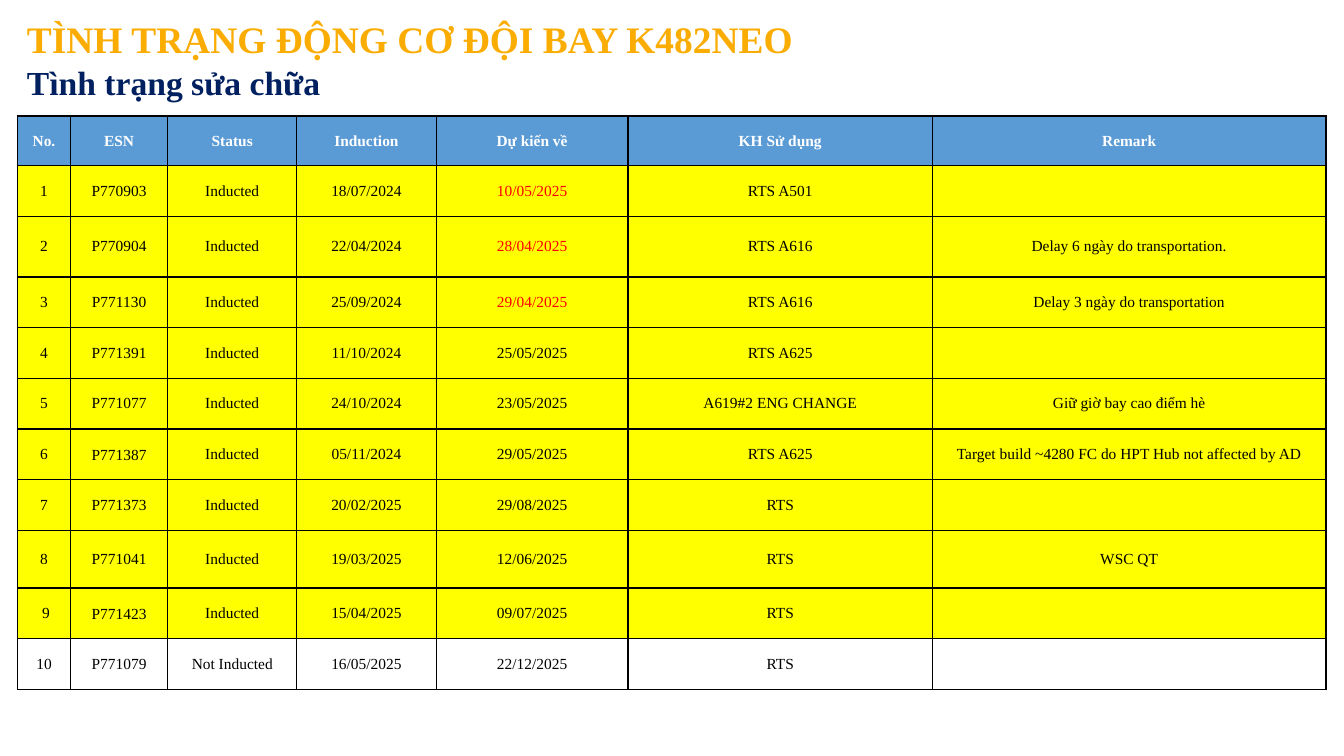
from lxml.etree import SubElement
from pptx import Presentation
from pptx.dml.color import RGBColor
from pptx.enum.text import MSO_ANCHOR as Anchor, PP_ALIGN as Align
from pptx.oxml.ns import qn
from pptx.util import Pt

FONT = "Times New Roman"
COLORS = {
    "title": "FBAC00", "subtitle": "002060", "header": "5B9BD5",
    "inducted": "FFFF00", "white": "FFFFFF", "text": "000000",
    "late": "FF0000", "border": "000000",
}
HEADINGS = [
    ("Tình trạng sửa chữa", 12.2, 41, 336, 36, 24, "subtitle"),
    ("TÌNH TRẠNG ĐỘNG CƠ ĐỘI BAY K482NEO", 12.2, 7.9, 940, 39.6, 26.7, "title"),
]
HEADER = ("No.", "ESN", "Status", "Induction", "Dự kiến về", "KH Sử dụng", "Remark")
ENGINES = [
    ("1", "P770903", "Inducted", "18/07/2024", "10/05/2025", "RTS A501", ""),
    ("2", "P770904", "Inducted", "22/04/2024", "28/04/2025", "RTS A616",
     "Delay 6 ngày do transportation."),
    ("3", "P771130", "Inducted", "25/09/2024", "29/04/2025", "RTS A616",
     "Delay 3 ngày do transportation"),
    ("4", "P771391", "Inducted", "11/10/2024", "25/05/2025", "RTS A625", ""),
    ("5", "P771077", "Inducted", "24/10/2024", "23/05/2025", "A619#2 ENG CHANGE",
     "Giữ giờ bay cao điểm hè"),
    ("6", "P771387", "Inducted", "05/11/2024", "29/05/2025", "RTS A625",
     "Target build ~4280 FC do HPT Hub not affected by AD"),
    ("7", "P771373", "Inducted", "20/02/2025", "29/08/2025", "RTS", ""),
    ("8", "P771041", "Inducted", "19/03/2025", "12/06/2025", "RTS", "WSC QT"),
    (" 9", "P771423", "Inducted", "15/04/2025", "09/07/2025", "RTS", ""),
    ("10", "P771079", "Not Inducted", "16/05/2025", "22/12/2025", "RTS", ""),
]
LATE_RETURNS = {"10/05/2025", "28/04/2025", "29/04/2025"}
COLUMN_WIDTHS = [37.7, 69.6, 92.1, 99.6, 137.1, 217.4, 281.1]
ROW_HEIGHT = 36.2
SPECIAL_HEIGHTS = {0: 35.4, 2: 43.4, 8: 41.2}
ESN_COLUMN = 1
FIRST_TIGHT_ROW = 6


def format_run(run, size, color, bold):
    run.font.name = FONT
    run.font.size = Pt(size)
    run.font.bold = bold
    run.font.color.rgb = RGBColor.from_string(COLORS[color])


def add_heading(slide, text, left, top, width, height, size, color):
    shape = slide.shapes.add_textbox(Pt(left), Pt(top), Pt(width), Pt(height))
    shape.text_frame.word_wrap = True
    shape.text_frame.text = text
    format_run(shape.text_frame.paragraphs[0].runs[0], size, color, True)


def add_borders(cell):
    properties = cell._tc.get_or_add_tcPr()
    for side in ("a:lnL", "a:lnR", "a:lnT", "a:lnB"):
        line = SubElement(properties, qn(side), w=str(Pt(1)))
        fill = SubElement(line, qn("a:solidFill"))
        SubElement(fill, qn("a:srgbClr"), val=COLORS["border"])


def fill_cell(cell, text, fill, color, bold, tight):
    cell.vertical_anchor = Anchor.MIDDLE
    side, edge = (0.7, 0.7) if tight else (9.4, 4.7)
    cell.margin_left = cell.margin_right = Pt(side)
    cell.margin_top = Pt(edge)
    cell.margin_bottom = Pt(0 if tight else edge)
    add_borders(cell)
    cell.fill.solid()
    cell.fill.fore_color.rgb = RGBColor.from_string(COLORS[fill])
    cell.text_frame.text = text
    paragraph = cell.text_frame.paragraphs[0]
    paragraph.alignment = Align.CENTER
    for run in paragraph.runs:
        format_run(run, 11, color, bold)


def add_engine_table(slide):
    rows = [HEADER] + ENGINES
    heights = [SPECIAL_HEIGHTS.get(i, ROW_HEIGHT) for i in range(len(rows))]
    table = slide.shapes.add_table(
        len(rows), len(HEADER), Pt(12.6), Pt(82.9),
        Pt(sum(COLUMN_WIDTHS)), Pt(sum(heights))).table
    table.first_row = table.horz_banding = False
    for column, width in zip(table.columns, COLUMN_WIDTHS):
        column.width = Pt(width)
    for r, (values, height) in enumerate(zip(rows, heights)):
        table.rows[r].height = Pt(height)
        is_header = r == 0
        fill = "header" if is_header else "inducted" if values[2] == "Inducted" else "white"
        for c, text in enumerate(values):
            color = "white" if is_header else "late" if text in LATE_RETURNS else "text"
            tight = c == ESN_COLUMN and r >= FIRST_TIGHT_ROW
            fill_cell(table.cell(r, c), text, fill, color, is_header, tight)


def main():
    presentation = Presentation()
    presentation.slide_width, presentation.slide_height = Pt(960), Pt(540)
    slide = presentation.slides.add_slide(presentation.slide_layouts[6])
    subtitle, title = HEADINGS
    add_heading(slide, *subtitle)
    add_engine_table(slide)
    add_heading(slide, *title)
    presentation.save("out.pptx")


if __name__ == "__main__":
    main()
